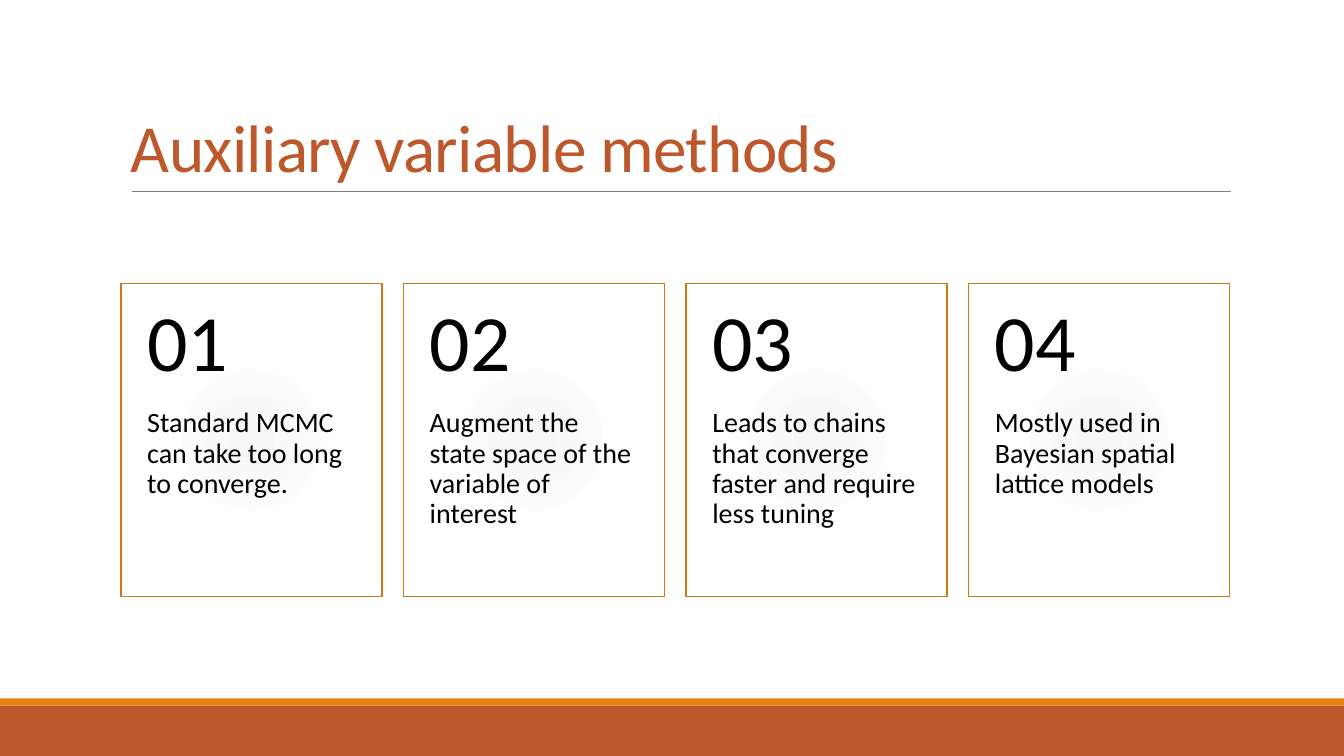
from pptx import Presentation
from pptx.dml.color import RGBColor
from pptx.enum.shapes import MSO_CONNECTOR, MSO_SHAPE
from pptx.enum.text import MSO_ANCHOR
from pptx.oxml import parse_xml
from pptx.oxml.ns import nsdecls
from pptx.util import Inches, Pt
from lxml import etree

RECT = MSO_SHAPE.RECTANGLE
LINE = MSO_CONNECTOR.STRAIGHT
TOP, MID, BASE = MSO_ANCHOR.TOP, MSO_ANCHOR.MIDDLE, MSO_ANCHOR.BOTTOM
HUES = {"rust": "BD582C", "gold": "E48312", "edge": "CF7710",
        "rule": "808080", "ink": "000000"}
GLOW = [(0, "F6F6F6"), (45, "FEFEFE"), (100, "FFFFFF")]
COLS, ROWS = 40, 30


class Deck:
    def __init__(self):
        self.prs = Presentation()
        self.prs.slide_width, self.prs.slide_height = Inches(13.33), Inches(7.5)
        self.font = "Calibri"
        self.slide = self.prs.slides.add_slide(self.prs.slide_layouts[6])

    def x(self, col):
        return round(self.prs.slide_width * col / COLS)

    def y(self, row):
        return round(self.prs.slide_height * row / ROWS)

    def area(self, col, row, wide, high):
        return self.x(col), self.y(row), self.x(wide), self.y(high)

    def hue(self, name):
        return RGBColor.from_string(HUES[name])

    def rect(self, *area):
        box = self.slide.shapes.add_shape(RECT, *self.area(*area))
        box.shadow.inherit = False
        return box

    def band(self, area, hue):
        box = self.rect(*area)
        box.fill.solid()
        box.fill.fore_color.rgb = self.hue(hue)
        box.line.fill.background()

    def card(self, area, hue):
        box = self.rect(*area)
        box.line.color.rgb = self.hue(hue)
        box.line.width = Pt(1)
        stops = "".join(f'<a:gs pos="{at * 1000}"><a:srgbClr val="{tone}"/></a:gs>'
                        for at, tone in GLOW)
        sides = " ".join(f'{side}="100000"' for side in "ltrb")
        glow = parse_xml(f'<a:gradFill {nsdecls("a")}><a:gsLst>{stops}</a:gsLst>'
                         f'<a:path path="circle"><a:fillToRect {sides}/></a:path>'
                         '</a:gradFill>')
        box.element.spPr.prstGeom.addnext(glow)

    def rule(self, start, end, row, hue):
        line = self.slide.shapes.add_connector(
            LINE, self.x(start), self.y(row), self.x(end), self.y(row))
        line.line.color.rgb = self.hue(hue)
        line.line.width = Pt(0.5)
        props = line.element.spPr
        etree.SubElement(props, props.tag.replace("spPr", "effectLst")
                         .replace("presentationml", "drawingml")
                         .replace("2006/main", "2006/main"))

    def text(self, area, words, size, hue, pads, anchor=TOP, lead=0.9, track=0):
        frame = self.slide.shapes.add_textbox(*self.area(*area)).text_frame
        frame.word_wrap = True
        frame.vertical_anchor = anchor
        (frame.margin_left, frame.margin_top,
         frame.margin_right, frame.margin_bottom) = map(Inches, pads)
        para = frame.paragraphs[0]
        para.line_spacing = lead
        run = para.add_run()
        run.text = words
        run.font.name, run.font.size = self.font, Pt(size)
        run.font.color.rgb = self.hue(hue)
        if track:
            run.font._element.set("spc", str(round(track * 100)))


def main():
    deck = Deck()
    left, wide = 3.6, 33

    # Footer bands
    deck.band((0, 28, COLS, 2), "rust")
    deck.band((0, 27.72, COLS, 0.28), "gold")

    # Title and rule
    deck.rule(3.93, 36.63, 7.6, "rule")
    deck.text((left, 1.24, wide, 6.36), "Auxiliary variable methods", 48, "rust",
              (0.1, 0.05, 0.1, 0.05), BASE, 0.85, -0.5)

    # Numbered cards
    notes = ["Standard MCMC can take too long to converge.",
             "Augment the state space of the variable of interest",
             "Leads to chains that converge faster and require less tuning",
             "Mostly used in Bayesian spatial lattice models"]
    span, top, high, head = 7.77, 11.24, 12.44, 4.98
    step = (wide - span) / (len(notes) - 1)
    for i, note in enumerate(notes):
        col = left + i * step
        deck.card((col, top, span, high), "edge")
        deck.text((col, top + head, span, high - head), note, 20, "ink",
                  (0.26, 0, 0.26, 0.36))
        deck.text((col, top, span, head), f"{i + 1:02}", 57, "ink",
                  (0.26, 0.18, 0.26, 0.18), MID)

    deck.prs.save("out.pptx")


if __name__ == "__main__":
    main()
